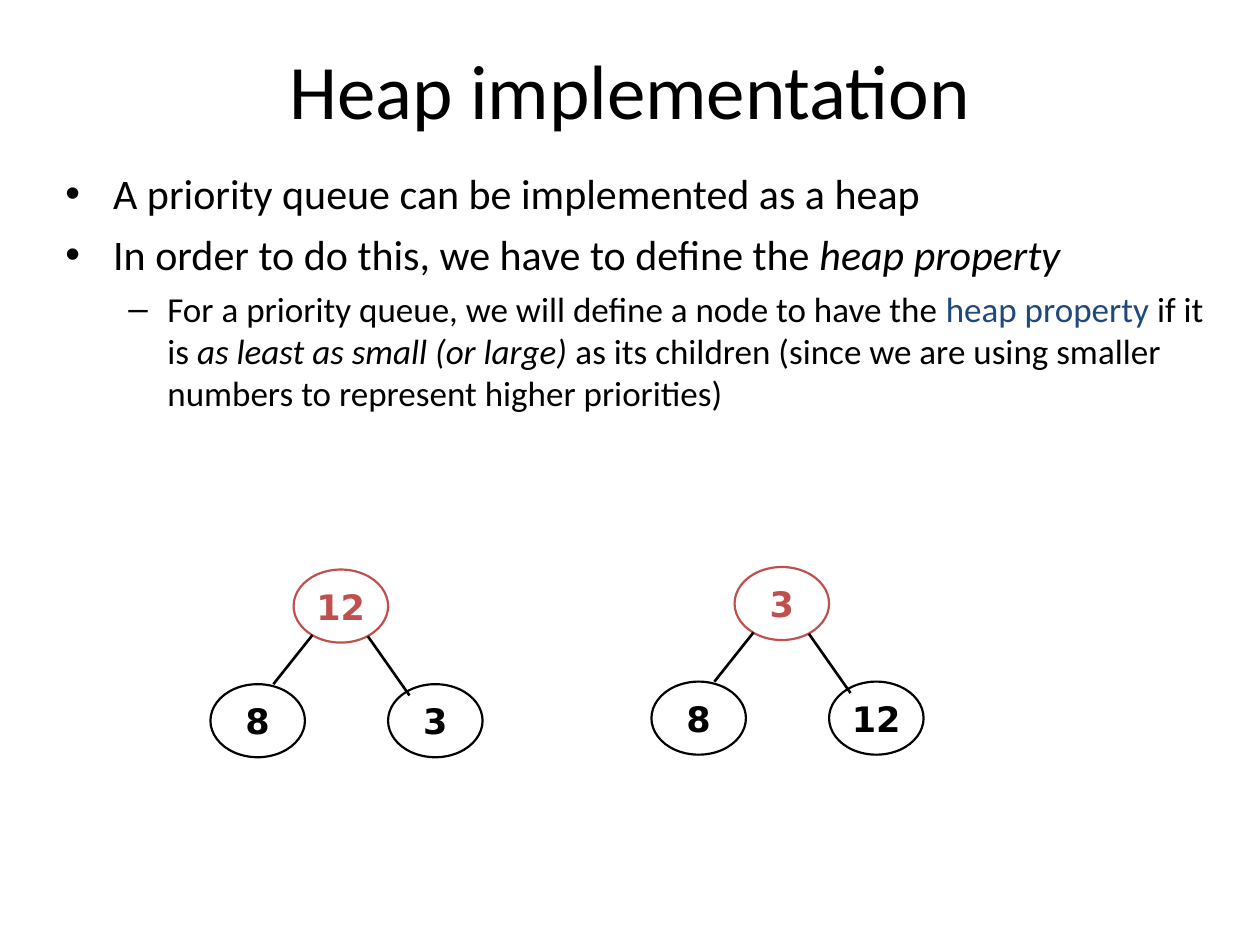
from lxml.etree import SubElement
from pptx import Presentation
from pptx.dml.color import RGBColor
from pptx.enum.shapes import MSO_CONNECTOR, MSO_SHAPE
from pptx.enum.text import MSO_ANCHOR, PP_ALIGN
from pptx.oxml.ns import qn
from pptx.util import Inches, Pt

BLACK, RED, BLUE = "000000", "C0504D", "1F497D"
TITLE = "Heap implementation"
BULLETS = [
    (0, [("A priority queue can be implemented as a heap", BLACK, False)]),
    (0, [("In order to do this, we have to define the ", BLACK, False),
         ("heap property", BLACK, True)]),
    (1, [("For a priority queue, we will define a node to have the ", BLACK, False),
         ("heap property", BLUE, False),
         (" if it is ", BLACK, False),
         ("as least as small (or large)", BLACK, True),
         (" as its children (since we are using smaller numbers to represent "
          "higher priorities)", BLACK, False)]),
]
LEVELS = [
    {"size": 24, "before": 6, "bullet": "•", "margin": 0.38, "indent": -0.38},
    {"size": 20, "before": 5, "bullet": "–", "margin": 0.81, "indent": -0.31},
]
TREES = [(1.67, 4.52, ["12", "8", "3"]), (5.17, 4.5, ["3", "8", "12"])]
NODES = [(0.66, 0, RED), (0, 0.91, BLACK), (1.41, 0.91, BLACK)]
EDGES = [(0.81, 0.52, 0.5, 0.91), (1.25, 0.53, 1.58, 1)]
NODE_WIDTH, NODE_HEIGHT = 0.75, 0.58


def color(value):
    return RGBColor.from_string(value)


def style(span, font, size, value, bold=False, italic=False):
    span.font.name, span.font.size = font, Pt(size)
    span.font.color.rgb = color(value)
    span.font.bold, span.font.italic = bold, italic


def add_title(page):
    box = page.shapes.add_textbox(Inches(0.5), Inches(0.08), Inches(9), Inches(1.25))
    frame = box.text_frame
    frame.word_wrap, frame.vertical_anchor = True, MSO_ANCHOR.MIDDLE
    frame.text = TITLE
    para = frame.paragraphs[0]
    para.alignment = PP_ALIGN.CENTER
    style(para.runs[0], "Calibri", 44, BLACK)


def add_bullets(page):
    box = page.shapes.add_textbox(Inches(0.42), Inches(1.28), Inches(9.38), Inches(2.3))
    frame = box.text_frame
    frame.word_wrap = True
    for index, (level, pieces) in enumerate(BULLETS):
        para = frame.add_paragraph() if index else frame.paragraphs[0]
        look = LEVELS[level]
        para.level, para.space_before = level, Pt(look["before"])
        properties = para._p.get_or_add_pPr()
        properties.set("marL", str(Inches(look["margin"])))
        properties.set("indent", str(Inches(look["indent"])))
        SubElement(properties, qn("a:buFont"), typeface="Arial")
        SubElement(properties, qn("a:buChar"), char=look["bullet"])
        for text, value, italic in pieces:
            span = para.add_run()
            span.text = text
            style(span, "Calibri", look["size"], value, italic=italic)


def add_node(group, left, top, label, value):
    node = group.shapes.add_shape(MSO_SHAPE.OVAL, Inches(left), Inches(top),
                                  Inches(NODE_WIDTH), Inches(NODE_HEIGHT))
    node.shadow.inherit = False
    node.fill.background()
    node.line.color.rgb, node.line.width = color(value), Pt(1.25)
    frame = node.text_frame
    frame.word_wrap, frame.vertical_anchor = False, MSO_ANCHOR.MIDDLE
    frame.text = label
    para = frame.paragraphs[0]
    para.alignment, para.space_before = PP_ALIGN.CENTER, Pt(5)
    style(para.runs[0], "DejaVu Sans", 20, value, bold=True)


def add_tree(page, left, top, labels):
    group = page.shapes.add_group_shape()
    for label, (across, down, value) in zip(labels, NODES):
        add_node(group, left + across, top + down, label, value)
    for x1, y1, x2, y2 in EDGES:
        edge = group.shapes.add_connector(
            MSO_CONNECTOR.STRAIGHT, Inches(left + x1), Inches(top + y1),
            Inches(left + x2), Inches(top + y2))
        edge.line.color.rgb, edge.line.width = color(BLACK), Pt(1.5)
        SubElement(edge._element.spPr, qn("a:effectLst"))


def main():
    """Build the heap slide with its bullets and two example trees."""
    deck = Presentation()
    deck.slide_width, deck.slide_height = Inches(10), Inches(7.5)
    page = deck.slides.add_slide(deck.slide_layouts[6])
    add_title(page)
    add_bullets(page)
    for left, top, labels in TREES:
        add_tree(page, left, top, labels)
    deck.save("out.pptx")


if __name__ == "__main__":
    main()
